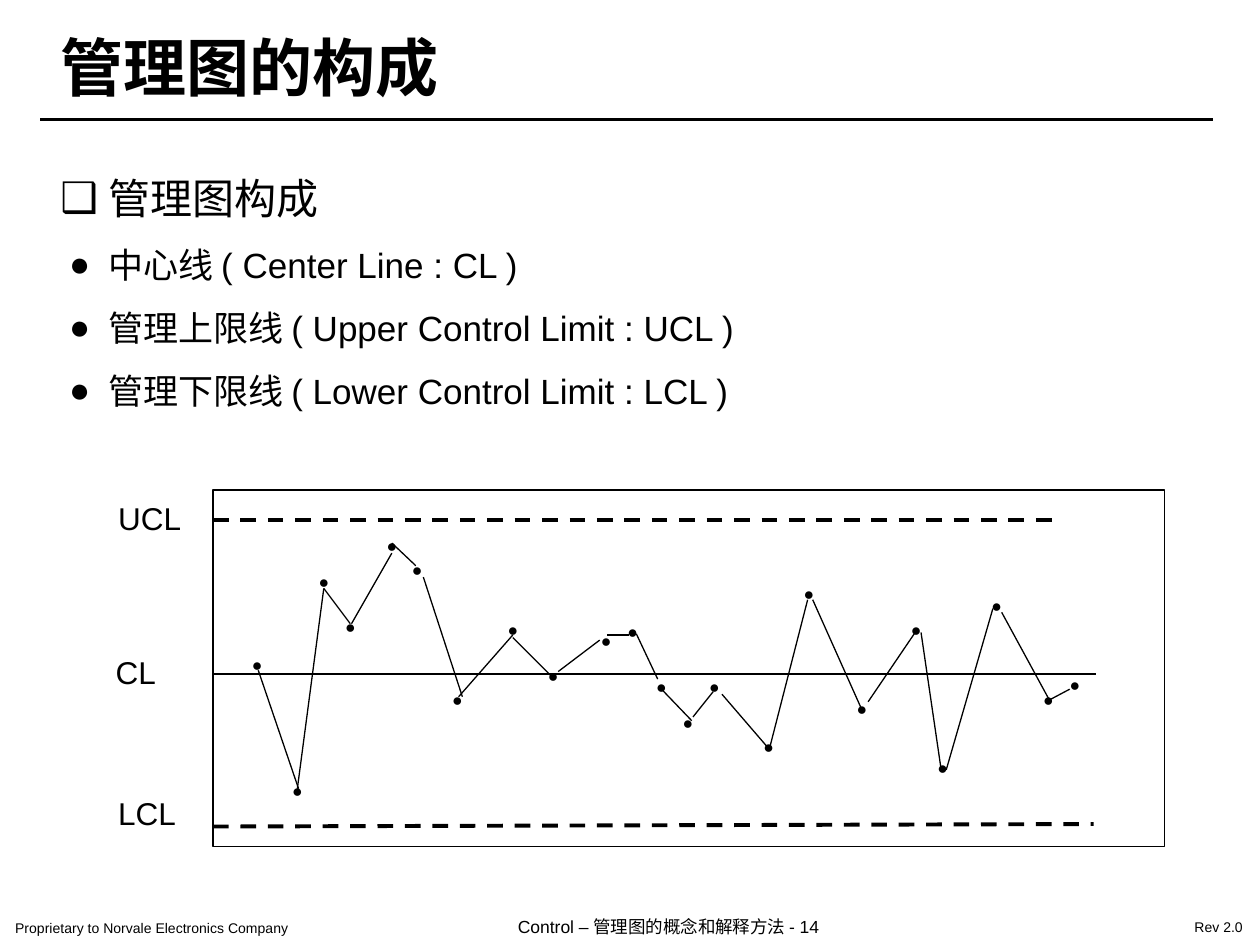
from lxml.etree import SubElement
from pptx import Presentation
from pptx.dml.color import RGBColor
from pptx.enum.dml import MSO_LINE
from pptx.enum.shapes import MSO_CONNECTOR, MSO_SHAPE
from pptx.enum.text import MSO_ANCHOR, MSO_AUTO_SIZE
from pptx.oxml.ns import qn
from pptx.util import Inches, Pt

FONT, BLACK = "Arial", "000000"
TITLE = "管理图的构成"
# text, size, bullet, left margin, first-line indent
OUTLINE = [
    ("管理图构成", 24, "❑", 0.38, -0.38),
    ("中心线 ( Center Line : CL )", 20, "●", 0.38, -0.31),
    ("管理上限线 ( Upper Control Limit : UCL )", 20, "●", 0.38, -0.31),
    ("管理下限线 ( Lower Control Limit : LCL )", 20, "●", 0.38, -0.31),
]
# text, size, left, top, width, height, wrap
FOOTERS = [
    ("Proprietary to Norvale Electronics Company", 8, 0, 7.24, 3.21, 0.25, True),
    ("Control – 管理图的概念和解释方法 - 14", 10, 3.99, 7.21, 3.19, 0.29, False),
    ("Rev 2.0", 8, 9.36, 7.23, 0.63, 0.25, False),
]
FRAME = (1.69, 3.89, 7.55, 2.83)
# label, left, top, width
LABELS = [("CL", 0.82, 5.13, 0.52), ("UCL", 0.84, 3.91, 0.7), ("LCL", 0.84, 6.25, 0.66)]
# x1, y1, x2, y2, width, dash
LIMITS = [
    (1.69, 4.13, 8.39, 4.13, 2.25, MSO_LINE.DASH),
    (1.69, 6.56, 8.68, 6.54, 2.25, MSO_LINE.DASH),
    (1.69, 5.35, 8.7, 5.35, 1.5, None),
]
DOT_W, DOT_H = 0.28, 0.27
DOTS = [  # left, top of each marker
    (1.9, 5.14), (2.22, 6.14), (2.43, 4.48), (2.64, 4.84), (2.97, 4.2), (3.17, 4.39),
    (3.49, 5.42), (3.93, 4.86), (4.25, 5.23), (4.67, 4.95), (4.88, 4.88), (5.11, 5.32),
    (5.32, 5.6), (5.53, 5.32), (5.96, 5.79), (6.28, 4.58), (6.7, 5.49), (7.13, 4.86),
    (7.34, 5.96), (7.77, 4.67), (8.18, 5.42), (8.39, 5.3),
]
SEGMENTS = [  # the hand-drawn links stop short of some markers
    (2.05, 5.32, 2.37, 6.26), (2.36, 6.26, 2.57, 4.67), (2.57, 4.67, 2.78, 4.95),
    (2.79, 4.95, 3.11, 4.39), (3.11, 4.31, 3.3, 4.49), (3.36, 4.58, 3.67, 5.53),
    (3.64, 5.53, 4.07, 5.04), (4.07, 5.06, 4.4, 5.39), (4.43, 5.33, 4.76, 5.08),
    (4.82, 5.04, 4.99, 5.04), (5.05, 5.03, 5.22, 5.39), (5.26, 5.48, 5.49, 5.72),
    (5.5, 5.69, 5.66, 5.49), (5.73, 5.51, 6.1, 5.94), (6.11, 5.93, 6.41, 4.76),
    (6.45, 4.76, 6.83, 5.61), (6.89, 5.57, 7.27, 5.01), (7.31, 5.02, 7.47, 6.11),
    (7.51, 6.11, 7.88, 4.83), (7.95, 4.86, 8.32, 5.54), (8.32, 5.56, 8.49, 5.47),
]


def rgb(color):
    return RGBColor.from_string(color)


def style(p, size, bold=False):
    for r in p.runs:
        r.font.name, r.font.size, r.font.bold = FONT, Pt(size), bold
        r.font.color.rgb = rgb(BLACK)


def add_text(shapes, text, size, left, top, width, height,
             wrap=False, inset=(0.1, 0.05), grow=True, bold=False):
    tf = shapes.add_textbox(*map(Inches, (left, top, width, height))).text_frame
    tf.word_wrap = wrap
    tf.auto_size = MSO_AUTO_SIZE.SHAPE_TO_FIT_TEXT if grow else MSO_AUTO_SIZE.NONE
    tf.margin_left = tf.margin_right = Inches(inset[0])
    tf.margin_top = tf.margin_bottom = Inches(inset[1])
    tf.text = text
    for p in tf.paragraphs:
        style(p, size, bold)
    return tf


def add_line(shapes, x1, y1, x2, y2, width=0.75, dash=None):
    s = shapes.add_connector(MSO_CONNECTOR.STRAIGHT, *map(Inches, (x1, y1, x2, y2)))
    s.line.color.rgb, s.line.width = rgb(BLACK), Pt(width)
    if dash is not None:
        s.line.dash_style = dash
    SubElement(s._element.spPr, qn("a:effectLst"))


def set_bullet(p, char, margin, indent):
    pPr = p._p.get_or_add_pPr()
    pPr.set("marL", str(Inches(margin)))
    pPr.set("indent", str(Inches(indent)))
    color = SubElement(pPr, qn("a:buClr"))
    SubElement(color, qn("a:srgbClr")).set("val", BLACK)
    SubElement(pPr, qn("a:buFont")).set("typeface", FONT)
    SubElement(pPr, qn("a:buChar")).set("char", char)


def add_outline(shapes):
    tf = add_text(shapes, "\n".join(item[0] for item in OUTLINE), 20,
                  0.38, 1.12, 7.71, 2.2, wrap=True)
    for p, (_, size, char, margin, indent) in zip(tf.paragraphs, OUTLINE):
        p.line_spacing = 1.5
        p.level = 0 if char == "❑" else 1
        set_bullet(p, char, margin, indent)
        style(p, size)


def add_control_chart(shapes):
    frame = shapes.add_shape(MSO_SHAPE.RECTANGLE, *map(Inches, FRAME))
    frame.shadow.inherit = False
    frame.fill.background()
    frame.line.color.rgb, frame.line.width = rgb(BLACK), Pt(0.75)
    for limit in LIMITS:
        add_line(shapes, *limit)
    for left, top in DOTS:
        add_text(shapes, "●", 10, left, top, DOT_W, DOT_H)
    for segment in SEGMENTS:
        add_line(shapes, *segment)
    for label, left, top, width in LABELS:
        add_text(shapes, label, 18, left, top, width, 0.4)


def main():
    prs = Presentation()
    prs.slide_width, prs.slide_height = Inches(10), Inches(7.5)
    shapes = prs.slides.add_slide(prs.slide_layouts[6]).shapes
    for *footer, wrap in FOOTERS:
        add_text(shapes, *footer, wrap=wrap, inset=(0.12, 0.06))
    add_line(shapes, 0.32, 0.95, 9.63, 0.95, 1.5)
    add_outline(shapes)
    title = add_text(shapes, TITLE, 36, 0.38, 0.19, 4.25, 0.67,
                     wrap=True, grow=False, bold=True)
    title.vertical_anchor = MSO_ANCHOR.MIDDLE
    add_control_chart(shapes.add_group_shape().shapes)
    prs.save("out.pptx")


if __name__ == "__main__":
    main()
